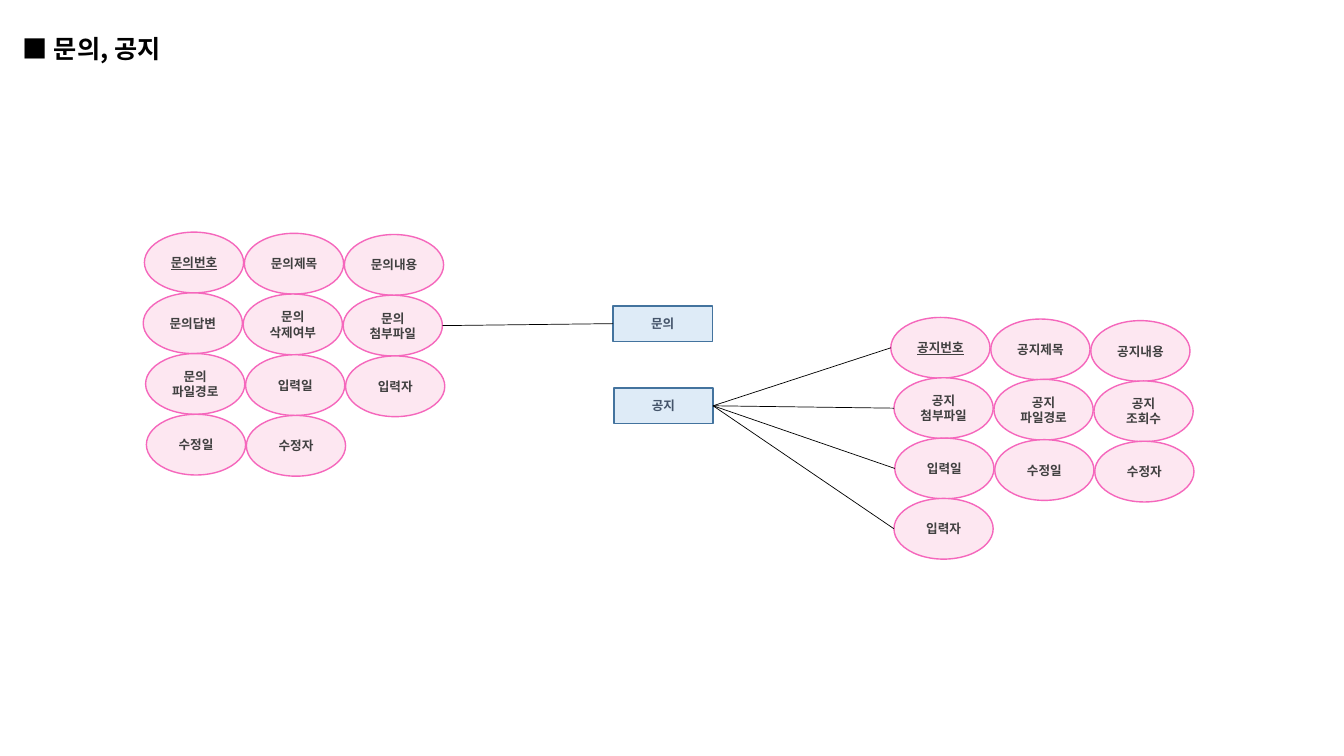
from pptx import Presentation
from pptx.dml.color import RGBColor
from pptx.enum.shapes import MSO_CONNECTOR, MSO_SHAPE
from pptx.enum.text import MSO_ANCHOR, PP_ALIGN
from pptx.oxml.ns import qn
from pptx.util import Cm, Pt
from lxml.etree import SubElement

FONT = "Noto Sans CJK KR"
COLORS = {
    "black": "000000",
    "entity_fill": "DEEBF7", "entity_line": "43739E", "entity_text": "44546A",
    "field_fill": "FDE7F1", "field_line": "F567BC", "field_text": "404040",
}
ENTITY_W, ENTITY_H = 2.5, 0.89
FIELD_W, FIELD_H = 2.5, 1.53
COLUMN_STEP = 2.52

INQUIRY_FIELDS = [
    ["문의번호", "문의제목", "문의내용"],
    ["문의답변", "문의\n삭제여부", "문의\n첨부파일"],
    ["문의\n파일경로", "입력일", "입력자"],
    ["수정일", "수정자"],
]
NOTICE_FIELDS = [
    ["공지번호", "공지제목", "공지내용"],
    ["공지\n첨부파일", "공지\n파일경로", "공지\n조회수"],
    ["입력일", "수정일", "수정자"],
    ["입력자"],
]


def rgb(name):
    """Look up a named colour."""
    return RGBColor.from_string(COLORS[name])


def add_run(p, text, size, color, underline=False):
    """Append one bold run to a paragraph."""
    r = p.add_run()
    r.text = text
    r.font.size, r.font.bold = Pt(size), True
    r.font.color.rgb = rgb(color)
    if underline:
        r.font.underline = True
    r.font.name = FONT
    SubElement(r.font._element, qn("a:ea")).set("typeface", FONT)


def add_title(slide, left, top, width, height):
    """Place the slide heading."""
    tf = slide.shapes.add_textbox(Cm(left), Cm(top), Cm(width), Cm(height)).text_frame
    tf.word_wrap = True
    add_run(tf.paragraphs[0], "■ 문의, 공지", 18, "black")


def add_node(slide, kind, style, box, text, is_key=False):
    """Draw a labelled diagram node; a key field is underlined."""
    sp = slide.shapes.add_shape(kind, *map(Cm, box))
    sp.shadow.inherit = False
    sp.fill.solid()
    sp.fill.fore_color.rgb = rgb(f"{style}_fill")
    sp.line.color.rgb = rgb(f"{style}_line")
    sp.line.width = Pt(1)
    tf = sp.text_frame
    tf.word_wrap = True
    tf.vertical_anchor = MSO_ANCHOR.MIDDLE
    tf.margin_left = tf.margin_right = tf.margin_top = tf.margin_bottom = 0
    for i, line in enumerate(text.split("\n")):
        p = tf.add_paragraph() if i else tf.paragraphs[0]
        p.alignment = PP_ALIGN.CENTER
        add_run(p, line, 9, f"{style}_text", is_key)
    return sp


def add_entity(slide, left, top, text):
    """Draw an entity rectangle."""
    return add_node(slide, MSO_SHAPE.RECTANGLE, "entity",
                    (left, top, ENTITY_W, ENTITY_H), text)


def add_fields(slide, left, top, rows, row_shifts, row_step, drift):
    """Draw a grid of field ellipses, each column a little lower; return its rows."""
    return [
        [add_node(slide, MSO_SHAPE.OVAL, "field",
                  (left + shift + col * COLUMN_STEP, top + row * row_step + col * drift,
                   FIELD_W, FIELD_H), text, is_key=row == col == 0)
         for col, text in enumerate(texts)]
        for row, (texts, shift) in enumerate(zip(rows, row_shifts))
    ]


def add_link(slide, left_node, right_node):
    """Join the right side of one node to the left side of another."""
    line = slide.shapes.add_connector(
        MSO_CONNECTOR.STRAIGHT,
        left_node.left + left_node.width, left_node.top + left_node.height // 2,
        right_node.left, right_node.top + right_node.height // 2)
    line.line.color.rgb = rgb("black")
    line.line.width = Pt(0.5)
    SubElement(line._element.spPr, qn("a:effectLst"))


def add_inquiry(slide, left, top):
    """Place the inquiry fields with their entity to the right."""
    fields = add_fields(slide, left, top, INQUIRY_FIELDS, (0, -0.03, 0.03, 0.05), 1.53, 0.03)
    entity = add_entity(slide, left + 11.81, top + 1.86, "문의")
    add_link(slide, fields[1][-1], entity)


def add_notice(slide, left, top):
    """Place the notice entity with its fields to the right."""
    entity = add_entity(slide, left, top, "공지")
    fields = add_fields(slide, left + 6.98, top - 1.78, NOTICE_FIELDS,
                        (0, 0.08, 0.1, 0.08), 1.52, 0.04)
    for row in fields:
        add_link(slide, entity, row[0])


prs = Presentation()
prs.slide_width, prs.slide_height = Cm(33.87), Cm(19.05)
slide = prs.slides.add_slide(prs.slide_layouts[6])
add_title(slide, 0.33, 0.71, 19.18, 1.02)
add_inquiry(slide, 3.64, 5.85)
add_notice(slide, 15.47, 9.78)
prs.save("out.pptx")
